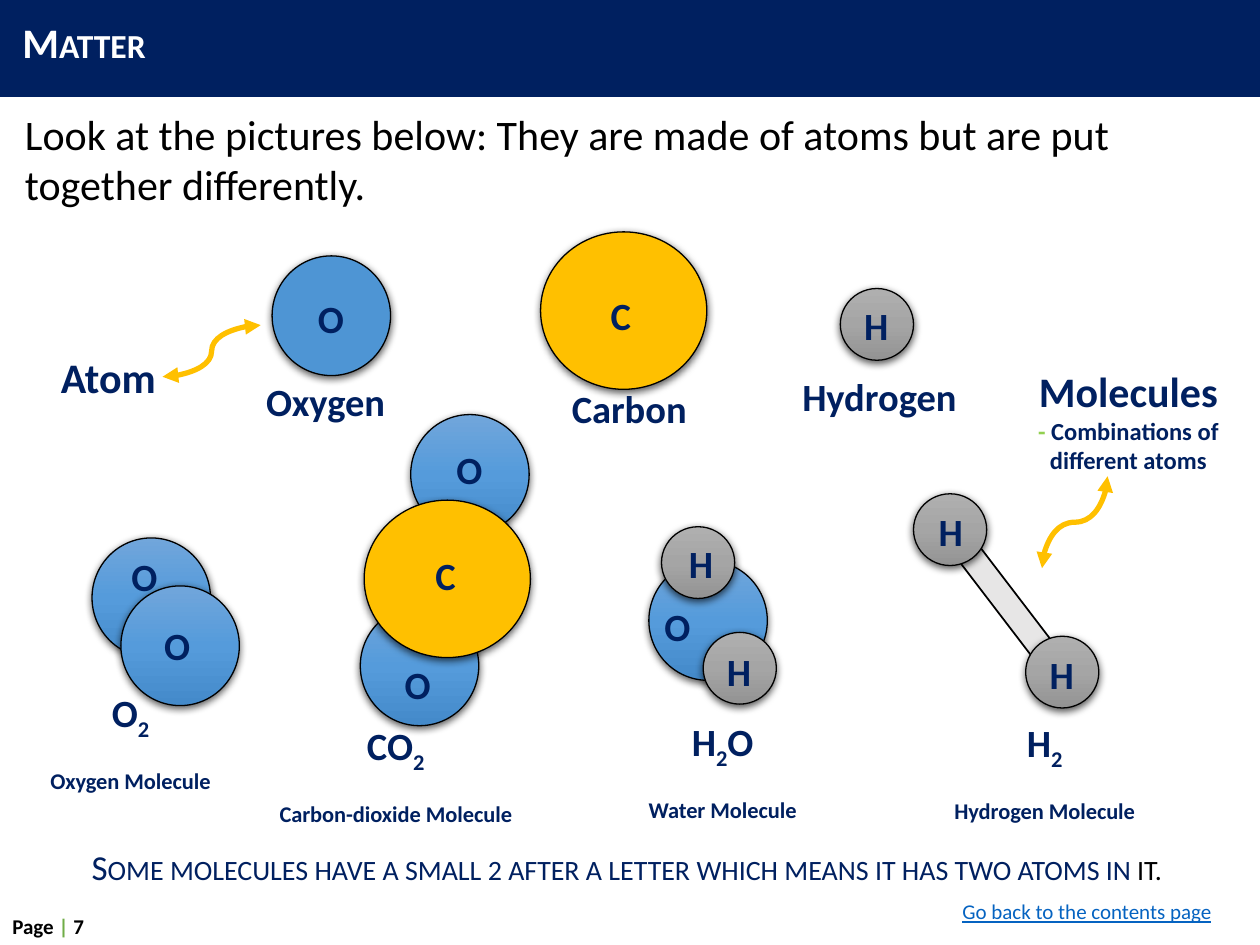
"""Builds a slide that compares single atoms with four simple molecules."""
from copy import deepcopy

from pptx import Presentation
from pptx.dml.color import RGBColor
from pptx.enum.shapes import MSO_CONNECTOR, MSO_SHAPE
from pptx.enum.text import MSO_ANCHOR, MSO_AUTO_SIZE, PP_ALIGN
from pptx.oxml.ns import qn
from pptx.util import Pt
from lxml import etree

CURVE = MSO_CONNECTOR.CURVE
OVAL, CAN, RECTANGLE = MSO_SHAPE.OVAL, MSO_SHAPE.CAN, MSO_SHAPE.RECTANGLE
MIDDLE = MSO_ANCHOR.MIDDLE
GROW, FIXED = MSO_AUTO_SIZE.SHAPE_TO_FIT_TEXT, MSO_AUTO_SIZE.NONE
LEFT, CENTER, JUSTIFY = PP_ALIGN.LEFT, PP_ALIGN.CENTER, PP_ALIGN.JUSTIFY

THEME = {
    "font": "Calibri",
    "navy": "002060", "black": "000000", "white": "FFFFFF", "gold": "FFC000",
    "green": "70AD47", "lime": "92D050", "link": "0563C1", "bond": "E7E6E6",
    "sky": "4E95D4",
    "blue": ("71A6DB", "559BDB", "448ACA"),
    "gray": ("AFAFAF", "A5A5A5", "939393"),
    "styles": {
        "title": {"size": 24, "color": "white", "bold": True, "cap": "small"},
        "body": {"size": 24, "color": "black"},
        "heading": {"size": 24, "color": "navy", "bold": True},
        "label": {"size": 22, "color": "navy", "bold": True},
        "sub": {"size": 22, "color": "navy", "bold": True, "baseline": "-25000"},
        "dash": {"size": 14, "color": "lime", "bold": True},
        "detail": {"size": 14, "color": "navy", "bold": True},
        "note": {"size": 20, "color": "navy", "cap": "small"},
        "note end": {"size": 20, "color": "black", "cap": "small"},
        "page": {"size": 12, "color": "black", "bold": True},
        "bar": {"size": 12, "color": "green", "bold": True},
        "link": {"size": 12, "color": "link", "underline": True},
    },
}

ELEMENTS = {
    "O": (67.7, 68.4, "blue"),
    "C": (95, 90, "gold"),
    "H": (41.8, 41, "gray"),
}
LETTER_SIZE = (42.5, 33.8)

ATOMS = [
    ("O", (370.8, 320.4), (365.8, 341.3)),
    ("H", (378, 301), (379.4, 305.3)),
    ("H", (401.8, 361.4), (401, 366.5)),
    ("O", (155.5, 146.2), (167.8, 164.9), "sky"),
    ("C", (308.9, 132.5), (333.4, 163.4)),
    ("H", (480.2, 164.9), (479.5, 169.2)),
    ("O", (234.7, 236.9), (247, 251.3)),
    ("O", (205.9, 346.3), (217.4, 374.4)),
    ("C", (208.1, 285.8), (233.3, 311.8)),
    ("O", (52.6, 307.4), (61.2, 312.5)),
    ("O", (69.1, 334.8), (79.9, 352.1)),
    ("H", (522, 282.2), (522, 286.6)),
    ("H", (586.1, 363.6), (585.4, 368.6)),
]
BOND = (569.5, 293, 14.4, 106.6)
BOND_ANGLE = 322.6

ATOM_NAMES = [
    ("Oxygen", (133.2, 212.4, 105.8, 33.8)),
    ("Carbon", (306.7, 216.7, 105.8, 33.8)),
    ("Hydrogen", (447.1, 209.5, 110.9, 33.8)),
]
MOLECULES = [
    ("O2", "Oxygen Molecule", (18.7, 390.2, 111.6, 69.1)),
    ("CO2", "Carbon-dioxide Molecule", (139.7, 409, 172.8, 51.8)),
    ("H2O", "Water Molecule", (329, 406.8, 167.8, 51.8)),
    ("H2", "Hydrogen Molecule", (522, 407.5, 149.8, 51.8)),
]
ARROWS = [
    ((92.9, 215.3), (149, 185.8), False),
    ((595.4, 324.7), (632.9, 272.2), True),
]
TEXTS = [
    ((7.2, 58.3, 702.7, 67.7), LEFT, [[(
        "Look at the pictures below: They are made of atoms but are put "
        "together differently.", "body")]], {}),
    ((0, 518.4, 720, 21.6), JUSTIFY,
     [[("Page ", "page"), ("| ", "bar"), ("7", "page")]], {}),
    ((15.1, 197.3, 93.6, 36), CENTER, [[("Atom", "heading")]], {}),
    ((582.5, 205.2, 124.6, 70.6), CENTER,
     [[("Molecules", "heading")],
      [("- ", "dash"), ("Combinations of different atoms", "detail")]], {}),
    ((15.1, 478.1, 686.2, 32.4), CENTER, [[
        ("Some molecules have a small 2 after a letter which means it has "
         "two atoms in", "note"), (" it.", "note end")]],
     {"line_spacing": 1.07, "space_after": Pt(8)}),
]
LINK = ((542.9, 509.8, 158.4, 21.6), LEFT,
        [[("Go back to the contents page", "link")]], {})
BANNER = (0, -8.6, 720, 64)
TITLE = ((1.4, -5.8, 622.8, 63.4), LEFT, [[(" Matter", "title")]],
         {"line_spacing": 0.9})


def rgb(name):
    return RGBColor.from_string(THEME.get(name, name))


def points(values):
    return [Pt(value) for value in values]


def add_span(para, text, style):
    span = para.add_run()
    span.text = text
    span.font.name = THEME["font"]
    for key, value in THEME["styles"][style].items():
        if key == "color":
            span.font.color.rgb = rgb(value)
        elif key in ("cap", "baseline"):
            span.font._element.set(key, value)
        else:
            setattr(span.font, key, Pt(value) if key == "size" else value)


def add_text(page, place, align, paragraphs, spacing, **frame_format):
    frame = page.shapes.add_textbox(*points(place)).text_frame
    for key, value in {"word_wrap": True, "auto_size": GROW, **frame_format}.items():
        setattr(frame, key, value)
    for index, spans in enumerate(paragraphs):
        para = frame.add_paragraph() if index else frame.paragraphs[0]
        for key, value in {"alignment": align, **spacing}.items():
            setattr(para, key, value)
        for text, style in spans:
            add_span(para, text, style)


def add_solid(page, kind, place, fill, line_width=0):
    shape = page.shapes.add_shape(kind, *points(place))
    shape.shadow.inherit = False
    shape.fill.solid()
    shape.fill.fore_color.rgb = rgb(fill)
    if line_width:
        shape.line.color.rgb = rgb("black")
        shape.line.width = Pt(line_width)
    else:
        shape.line.fill.background()
    return shape


def shade(shape, colors):
    shape.fill.gradient()
    shape.fill.gradient_angle = 270
    stops = shape._element.spPr.find(".//" + qn("a:gsLst"))
    stops.append(deepcopy(stops[-1]))
    for stop, position, color in zip(shape.fill.gradient_stops, (0, 0.5, 1), colors):
        stop.position = position
        stop.color.rgb = rgb(color)


def add_atom(page, element, corner, fill=None):
    width, height, usual_fill = ELEMENTS[element]
    fill = fill or usual_fill
    graded = isinstance(THEME[fill], tuple)
    atom = add_solid(page, OVAL, (*corner, width, height),
                     "white" if graded else fill, 0.75)
    if graded:
        shade(atom, THEME[fill])
    effects = atom._element.spPr.find(qn("a:effectLst"))
    shadow = etree.SubElement(effects, qn("a:outerShdw"), blurRad=str(Pt(4.5)),
                              dist=str(Pt(1.5)), dir="5400000", rotWithShape="0")
    color = etree.SubElement(shadow, qn("a:srgbClr"), val=THEME["black"])
    etree.SubElement(color, qn("a:alpha"), val="63000")


def add_arrow(page, start, end, upright):
    if upright:
        middle_x, middle_y = ((a + b) / 2 for a, b in zip(start, end))
        start, end = ((middle_x + y - middle_y, middle_y - x + middle_x)
                      for x, y in (start, end))
    arrow = page.shapes.add_connector(CURVE, *points((*start, *end)))
    arrow.line.color.rgb = rgb("gold")
    arrow.line.width = Pt(3)
    properties = arrow._element.spPr
    if upright:
        properties.find(qn("a:xfrm")).set("rot", "5400000")
    for tag in ("a:headEnd", "a:tailEnd"):
        etree.SubElement(properties.find(qn("a:ln")), qn(tag), type="triangle")
    etree.SubElement(properties, qn("a:effectLst"))


def main():
    deck = Presentation()
    deck.slide_width, deck.slide_height = Pt(720), Pt(540)
    page = deck.slides.add_slide(deck.slide_layouts[6])
    bond = add_solid(page, CAN, BOND, "bond", 1)
    bond.rotation = BOND_ANGLE
    for element, corner, _, *fill in ATOMS:
        add_atom(page, element, corner, *fill)
    for element, _, corner, *_ in ATOMS:
        add_text(page, (*corner, *LETTER_SIZE), CENTER, [[(element, "label")]], {})
    for name, place in ATOM_NAMES:
        add_text(page, place, CENTER, [[(name, "label")]], {})
    for formula, name, place in MOLECULES:
        spans = [(sign, "sub" if sign.isdigit() else "label") for sign in formula]
        add_text(page, place, CENTER, [spans, [(name, "sub")]], {})
    for arrow in ARROWS:
        add_arrow(page, *arrow)
    for text in TEXTS:
        add_text(page, *text)
    add_text(page, *LINK, word_wrap=False)
    add_solid(page, RECTANGLE, BANNER, "navy")
    add_text(page, *TITLE, auto_size=FIXED, vertical_anchor=MIDDLE)
    deck.save("out.pptx")


if __name__ == "__main__":
    main()
